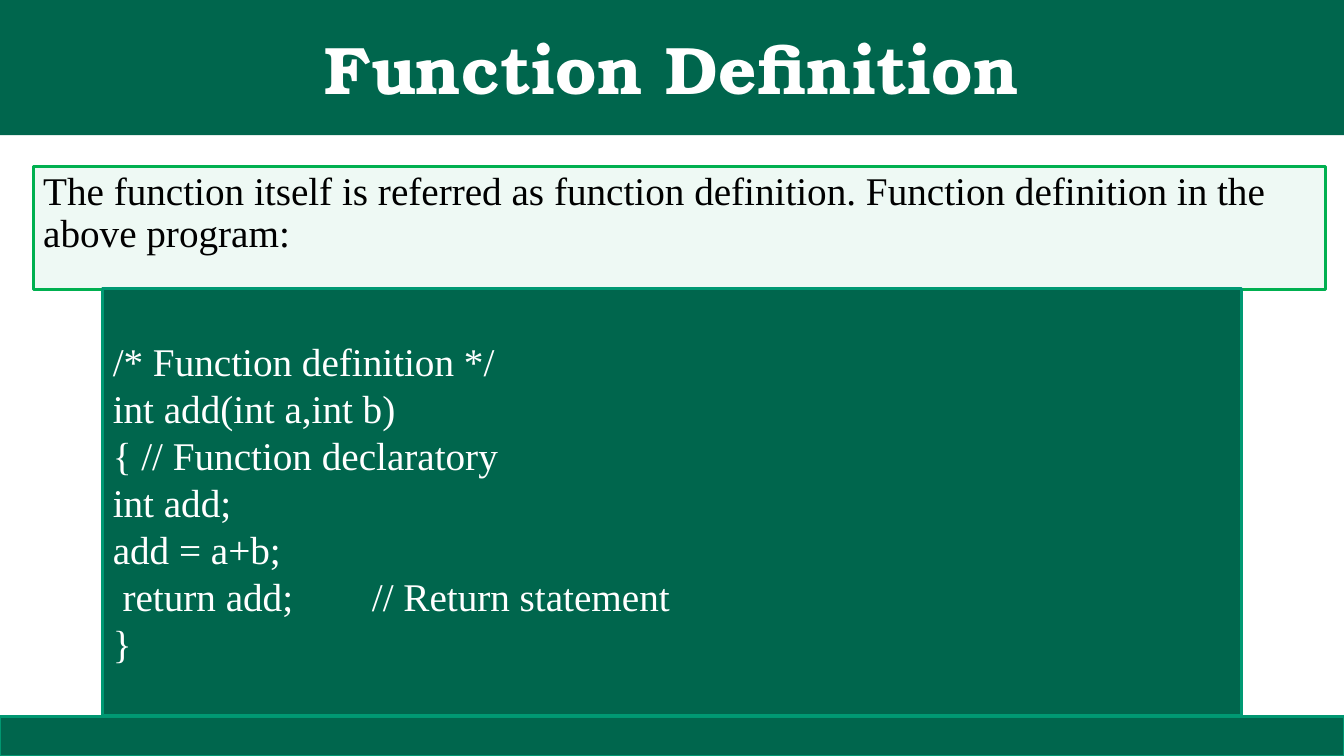
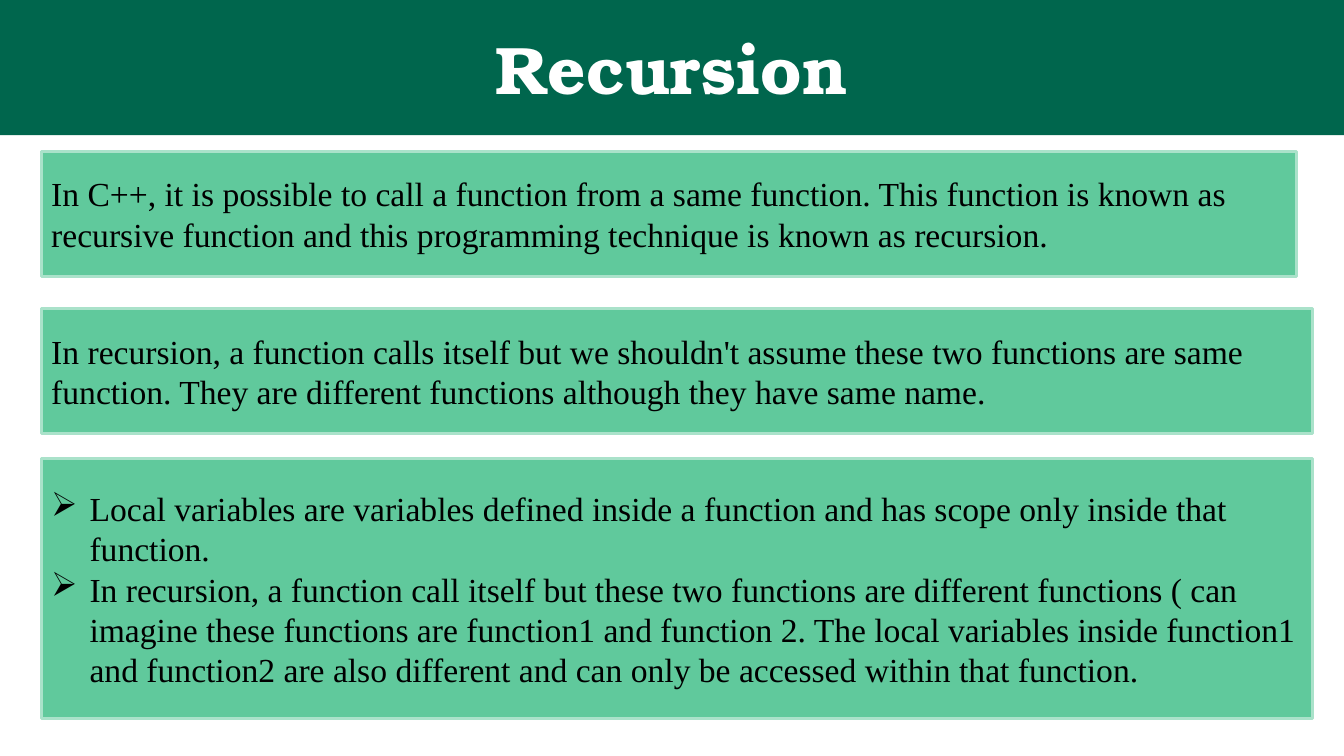
from dataclasses import dataclass

from lxml.etree import SubElement
from pptx import Presentation
from pptx.dml.color import RGBColor
from pptx.enum.shapes import MSO_SHAPE
from pptx.enum.text import MSO_ANCHOR, MSO_AUTO_SIZE, PP_ALIGN
from pptx.oxml.ns import qn
from pptx.util import Inches, Pt


@dataclass(frozen=True)
class Theme:
    """Hold the colours, fonts and type sizes of the deck."""

    deep: str = "00664D"
    deep_edge: str = "009973"
    band_edge: str = "009771"
    pale: str = "EEF9F4"
    pale_edge: str = "00B050"
    mint: str = "60C99C"
    mint_edge: str = "AAE2CA"
    light: str = "FFFFFF"
    dark: str = "000000"
    title_font: str = "TeX Gyre Bonum"
    body_font: str = "Times New Roman"
    title_size: int = 48
    large: int = 28
    medium: int = 24


THEME = Theme()
WIDTH, HEIGHT = 13.33, 7.5
TITLE_HEIGHT = 1.34
BULLET_INDENT = 0.38
COMMENT_TAB = 2.57

INTRO = ("The function itself is referred as function definition. "
         "Function definition in the above program:")
CODE = [
    "/* Function definition */",
    "int add(int a,int b)",
    "{ // Function declaratory",
    "int add;",
    "add = a+b;",
    " return add;\t// Return statement",
    "}",
]
RECURSION_PANELS = [
    ((0.41, 1.5, 12.45, 1.24), False, [
        "In C++, it is possible to call a function from a same function. This function "
        "is known as recursive function and this programming technique is known as "
        "recursion.",
    ]),
    ((0.41, 3.06, 12.61, 1.24), False, [
        "In recursion, a function calls itself but we shouldn't assume these two "
        "functions are same function. They are different functions although they have "
        "same name.",
    ]),
    ((0.41, 4.55, 12.61, 2.58), True, [
        "Local variables are variables defined inside a function and has scope only "
        "inside that function.",
        "In recursion, a function call itself but these two functions are different "
        "functions ( can imagine these functions are function1 and function 2. The "
        "local variables inside function1 and function2 are also different and can "
        "only be accessed within that function.",
    ]),
]


def apply(target, formats):
    """Set each named format value on the target."""
    for name, value in formats.items():
        setattr(target, name, value)


def place(shape, box):
    """Move and size a shape in inches."""
    edges = zip(("left", "top", "width", "height"), box)
    apply(shape, {name: Inches(value) for name, value in edges})


def paint(shape, color):
    """Give a shape a solid fill."""
    shape.fill.solid()
    shape.fill.fore_color.rgb = RGBColor.from_string(color)


def write(shape, lines, size, color, font=THEME.body_font, bold=False,
          anchor=MSO_ANCHOR.MIDDLE, **paragraph_formats):
    """Fill a shape with evenly formatted paragraphs and return them."""
    frame = shape.text_frame
    apply(frame, {"word_wrap": True, "auto_size": MSO_AUTO_SIZE.NONE,
                  "vertical_anchor": anchor})
    frame.text = "\n".join(lines)
    for paragraph in frame.paragraphs:
        apply(paragraph, {"alignment": PP_ALIGN.LEFT, **paragraph_formats})
        for run in paragraph.runs:
            apply(run.font, {"name": font, "size": Pt(size), "bold": bold})
            run.font.color.rgb = RGBColor.from_string(color)
    return frame.paragraphs


def add_panel(slide, box, fill, edge, edge_width=2):
    """Add an outlined rectangle."""
    panel = slide.shapes.add_shape(MSO_SHAPE.RECTANGLE, *map(Inches, box))
    panel.shadow.inherit = False
    paint(panel, fill)
    panel.line.color.rgb = RGBColor.from_string(edge)
    panel.line.width = Pt(edge_width)
    return panel


def add_bullet(paragraph):
    """Give a paragraph an arrow bullet with a hanging indent."""
    properties = paragraph._p.get_or_add_pPr()
    properties.set("marL", str(Inches(BULLET_INDENT)))
    properties.set("indent", str(-Inches(BULLET_INDENT)))
    SubElement(properties, qn("a:buChar"), char="➢")


def add_tab_stop(paragraph, position):
    """Give a paragraph one left tab stop."""
    stops = SubElement(paragraph._p.get_or_add_pPr(), qn("a:tabLst"))
    SubElement(stops, qn("a:tab"), pos=str(Inches(position)), algn="l")


def add_titled_slide(deck, heading):
    """Add a slide with the heading in a full-width band."""
    slide = deck.slides.add_slide(deck.slide_layouts[5])
    title = slide.shapes.title
    place(title, (0, 0, WIDTH, TITLE_HEIGHT))
    paint(title, THEME.deep)
    write(title, [heading], THEME.title_size, THEME.light,
          font=THEME.title_font, bold=True, alignment=PP_ALIGN.CENTER)
    return slide


def build_definition(deck):
    """Build the function definition slide."""
    slide = add_titled_slide(deck, "Function Definition")
    add_panel(slide, (0, 7.11, WIDTH, 0.39), THEME.deep, THEME.band_edge)
    intro = add_panel(slide, (0.33, 1.65, 12.82, 1.22),
                      THEME.pale, THEME.pale_edge, 2.25)
    write(intro, [INTRO], THEME.large, THEME.dark, anchor=MSO_ANCHOR.TOP,
          line_spacing=0.9, space_before=Pt(10))
    code = add_panel(slide, (1.02, 2.86, 11.29, 4.24), THEME.deep, THEME.deep_edge)
    for paragraph in write(code, CODE, THEME.large, THEME.light):
        if "\t" in paragraph.text:
            add_tab_stop(paragraph, COMMENT_TAB)


def build_recursion(deck):
    """Build the recursion slide."""
    slide = add_titled_slide(deck, "Recursion")
    for box, bulleted, lines in RECURSION_PANELS:
        panel = add_panel(slide, box, THEME.mint, THEME.mint_edge)
        for paragraph in write(panel, lines, THEME.medium, THEME.dark):
            if bulleted:
                add_bullet(paragraph)


def main():
    """Build and save the deck."""
    deck = Presentation()
    apply(deck, {"slide_width": Inches(WIDTH), "slide_height": Inches(HEIGHT)})
    build_definition(deck)
    build_recursion(deck)
    deck.save("out.pptx")


if __name__ == "__main__":
    main()
